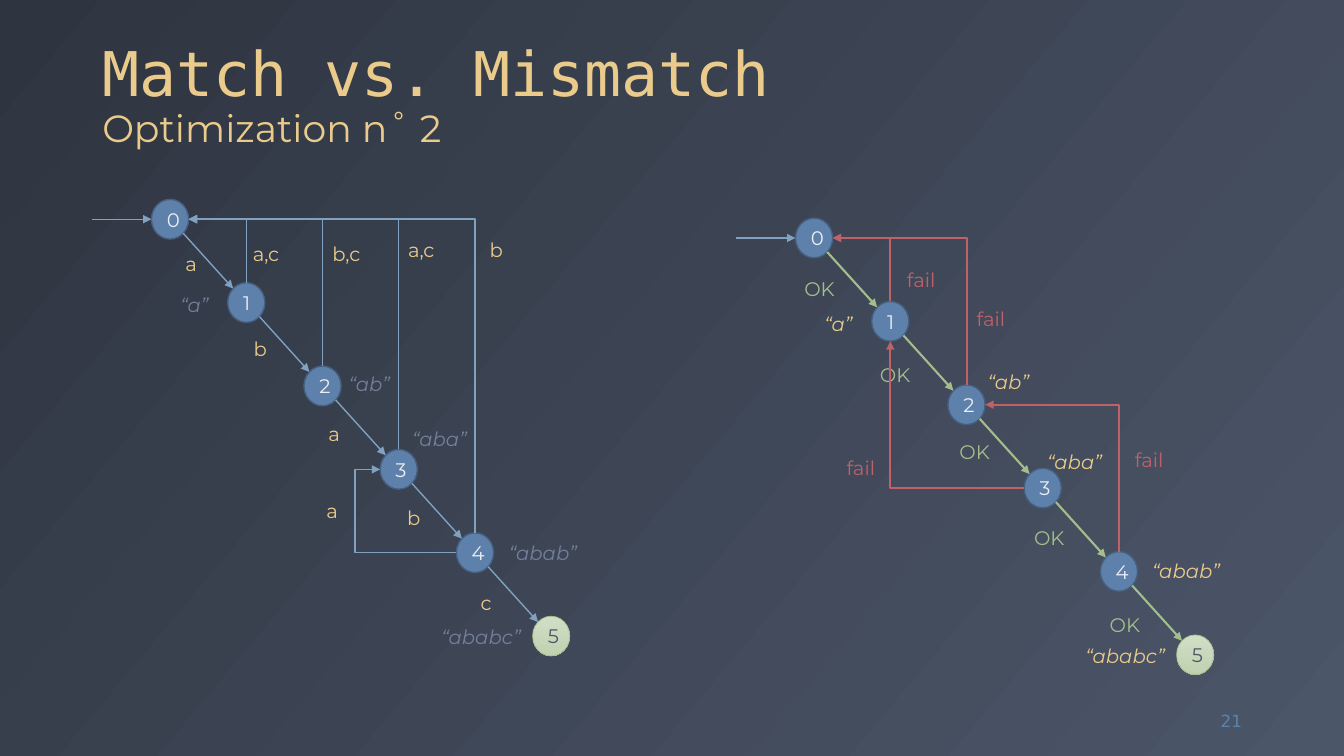
"""Build the slide comparing two string-matching automata."""
from lxml import etree
from pptx import Presentation
from pptx.dml.color import RGBColor
from pptx.enum import shapes, text
from pptx.oxml.ns import qn
from pptx.util import Pt

COLORS = {
    "dark": "2E3440", "slate": "4C5669", "yellow": "EBCB8B", "blue": "5E81AC",
    "rim": "465F7F", "white": "ECEFF3", "sky": "81A1C1", "muted": "73809B",
    "green": "A3BE8C", "red": "BF6169", "pale": "D1DEC6", "leaf": "BFD2B0",
}
RGB = {name: RGBColor.from_string(value) for name, value in COLORS.items()}
BODY_FONT = "Montserrat"
LABEL_WIDTHS = {
    "a": 23, "b": 24.5, "c": 22.3, "a,c": 35.3, "b,c": 35.3, "OK": 36.7, "fail": 35.3,
    "“a”": 35.3, "“ab”": 44.6, "“aba”": 54, "“abab”": 64, "“ababc”": 72,
}
NODE_W, NODE_H = 26.6, 28.4
STEP_X, STEP_Y = 54.45, 59.55
RIM_X, RIM_Y = NODE_W / 2 * 0.707, NODE_H / 2 * 0.707

prs = Presentation()
prs.slide_width, prs.slide_height = Pt(960), Pt(540)
slide = prs.slides.add_slide(prs.slide_layouts[6])
backdrop = slide.background.fill
backdrop.gradient()
backdrop.gradient_angle = 320
for stop, name in zip(backdrop.gradient_stops, ("dark", "slate")):
    stop.color.rgb = RGB[name]


def write(frame, words, styles, align):
    """Fill a text frame and style its runs as (size, font, color)."""
    frame.text = words
    paragraph = frame.paragraphs[0]
    paragraph.alignment = align
    for run, (size, font, color) in zip(paragraph.runs, styles):
        run.font.size, run.font.name = Pt(size), font
        run.font.color.rgb = RGB[color]
    return paragraph


def arrow(start, end, color, weight, preset="line", turn=0):
    """Draw an arrow, laid out before its turn about the midpoint."""
    mid_x, mid_y = (start[0] + end[0]) / 2, (start[1] + end[1]) / 2
    u, v = start[0] - mid_x, start[1] - mid_y
    u, v = {0: (u, v), 180: (-u, -v), 270: (-v, u)}[turn]
    kind = shapes.MSO_CONNECTOR.STRAIGHT if preset == "line" else shapes.MSO_CONNECTOR.ELBOW
    link = slide.shapes.add_connector(
        kind, Pt(mid_x + u), Pt(mid_y + v), Pt(mid_x - u), Pt(mid_y - v))
    link.line.color.rgb, link.line.width = RGB[color], Pt(weight)
    props = link._element.spPr
    geometry = props.find(qn("a:prstGeom"))
    geometry.set("prst", preset)
    if turn:
        props.find(qn("a:xfrm")).set("rot", str(turn * 60000))
    etree.SubElement(props.find(qn("a:ln")), qn("a:tailEnd")).set("type", "triangle")
    etree.SubElement(props, qn("a:effectLst"))
    return geometry


title = slide.shapes.add_textbox(Pt(66), Pt(13), Pt(828), Pt(98)).text_frame
title.word_wrap = True
title.vertical_anchor = text.MSO_ANCHOR.BOTTOM
write(title, "Match vs. Mismatch\vOptimization n˚ 2",
      [(44, "DejaVu Sans Mono", "yellow"), (27, BODY_FONT, "yellow")],
      text.PP_ALIGN.LEFT).line_spacing = 0.9

page_number = slide.shapes.add_textbox(Pt(834.5), Pt(500.4), Pt(59.8), Pt(28.8)).text_frame
page_number.word_wrap = True
page_number.vertical_anchor = text.MSO_ANCHOR.MIDDLE
write(page_number, "21", [(12, "DejaVu Sans", "blue")], text.PP_ALIGN.RIGHT)

automata = [
    {
        "origin": (121.5, 156.6), "step": ("sky", 1), "back": ("sky", 1),
        "returns": [(1, 0), (2, 0), (3, 0), (4, 0)],
        "labels": {
            "muted": [("“a”", 121.7, 205.9), ("“ab”", 241.9, 262.1), ("“aba”", 287.3, 301.7),
                      ("“abab”", 356.4, 383), ("“ababc”", 308.2, 442.8)],
            "yellow": [("a", 125.3, 176.4), ("b", 174.2, 236.9), ("a", 227.5, 298.1),
                       ("b", 283.7, 357.8), ("c", 336.2, 418.3), ("a,c", 173.5, 169.2),
                       ("b,c", 230.4, 169.2), ("a,c", 284.4, 166.3), ("b", 342.7, 166.3),
                       ("a", 226.1, 352.8)],
        },
    },
    {
        "origin": (581.5, 170), "step": ("green", 1.5), "back": ("red", 1.5),
        "returns": [(1, 0), (2, 0), (4, 2)],
        "labels": {
            "yellow": [("“a”", 581.8, 219.6), ("“ab”", 698.4, 260.6), ("“aba”", 740.9, 317.5),
                       ("“abab”", 815.8, 396), ("“ababc”", 768.2, 456.5)],
            "green": [("OK", 567.4, 194.4), ("OK", 621.4, 255.6), ("OK", 678.2, 311),
                      ("OK", 731.5, 372.2), ("OK", 785.5, 434.2)],
            "red": [("fail", 640.7, 187.9), ("fail", 690.5, 216), ("fail", 597.6, 321.8),
                    ("fail", 803.5, 316.1)],
        },
    },
]

for automaton in automata:
    left, top = automaton["origin"]
    centers = [(left + STEP_X * i, top + STEP_Y * i) for i in range(6)]
    for state, (x, y) in enumerate(centers):
        accepting = state == 5
        node = slide.shapes.add_shape(
            shapes.MSO_SHAPE.OVAL, Pt(x - NODE_W / 2), Pt(y - NODE_H / 2), Pt(NODE_W), Pt(NODE_H))
        node.shadow.inherit = False
        if accepting:
            node.fill.gradient()
            node.fill.gradient_angle = 270
            for stop, name in zip(node.fill.gradient_stops, ("pale", "leaf")):
                stop.color.rgb = RGB[name]
        else:
            node.fill.solid()
            node.fill.fore_color.rgb = RGB["blue"]
        node.line.color.rgb = RGB["green" if accepting else "rim"]
        node.line.width = Pt(0.5 if accepting else 1)
        write(node.text_frame, str(state),
              [(14, BODY_FONT, "slate" if accepting else "white")], text.PP_ALIGN.CENTER)

    entry = left - NODE_W / 2
    arrow((entry - 42.3, top), (entry, top), "sky", 1)
    for (x1, y1), (x2, y2) in zip(centers, centers[1:]):
        arrow((x1 + RIM_X, y1 + RIM_Y), (x2 - RIM_X, y2 - RIM_Y), *automaton["step"])
    for source, target in automaton["returns"]:
        (x1, y1), (x2, y2) = centers[source], centers[target]
        arrow((x1, y1 - NODE_H / 2), (x2 + NODE_W / 2, y2),
              *automaton["back"], "bentConnector2", 270)
    automaton["centers"] = centers

    for color, labels in automaton["labels"].items():
        for words, x, y in labels:
            label = slide.shapes.add_textbox(
                Pt(x), Pt(y), Pt(LABEL_WIDTHS[words]), Pt(24.2)).text_frame
            label.word_wrap = False
            label.auto_size = text.MSO_AUTO_SIZE.SHAPE_TO_FIT_TEXT
            line = write(label, words, [(14, BODY_FONT, color)], text.PP_ALIGN.LEFT)
            line.runs[0].font.italic = words.startswith("“")

match, mismatch = automata
(x3, y3), (x4, y4) = match["centers"][3:5]
loop = arrow((x4 - NODE_W / 2, y4), (x3 - NODE_W / 2, y3), *match["back"], "bentConnector3", 180)
bend = etree.SubElement(loop.find(qn("a:avLst")), qn("a:gd"))
bend.set("name", "adj1")
bend.set("fmla", "val 133100")

(x1, y1), (x3, y3) = mismatch["centers"][1:4:2]
arrow((x3 - NODE_W / 2, y3), (x1, y1 + NODE_H / 2), *mismatch["back"], "bentConnector2", 180)

prs.save("out.pptx")
